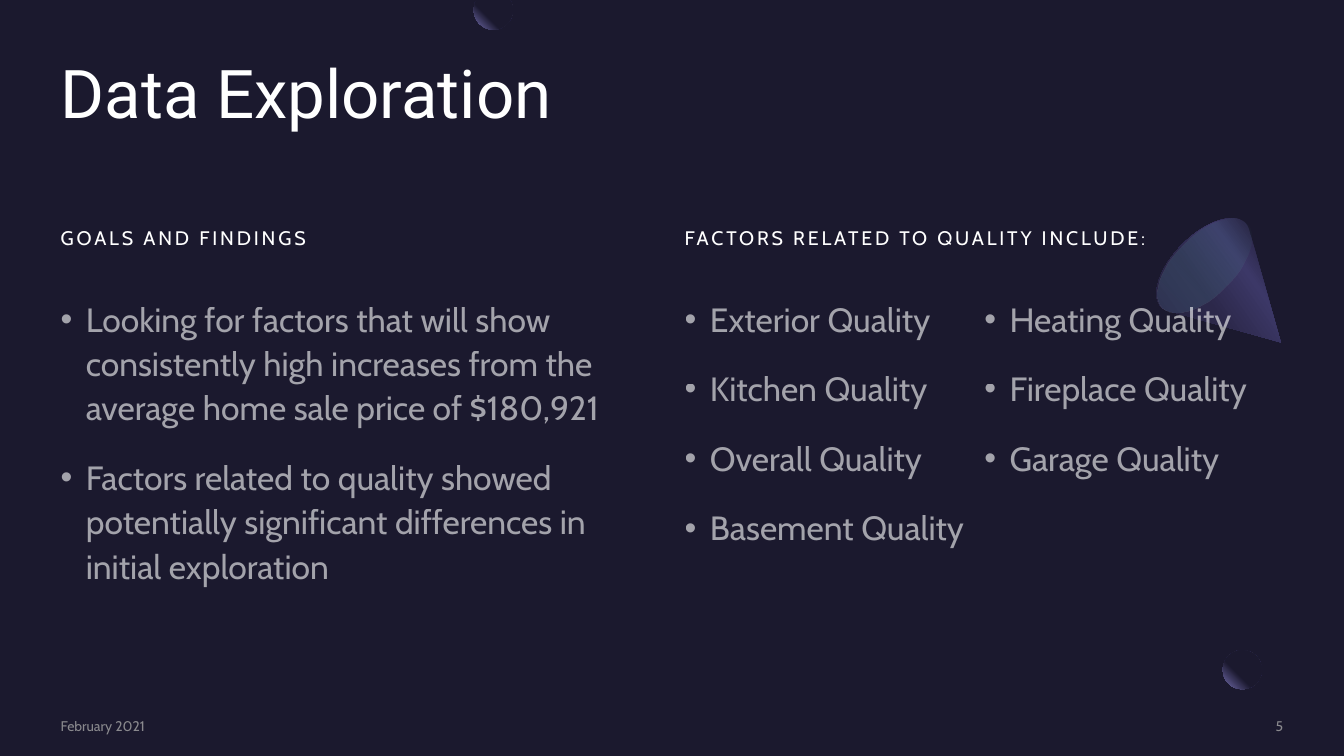
from lxml import etree
from pptx import Presentation
from pptx.dml.color import RGBColor
from pptx.enum.shapes import MSO_SHAPE
from pptx.enum.text import MSO_ANCHOR, PP_ALIGN
from pptx.oxml.ns import qn
from pptx.util import Pt

OVAL, RECTANGLE = MSO_SHAPE.OVAL, MSO_SHAPE.RECTANGLE
TOP, MIDDLE, BOTTOM = MSO_ANCHOR.TOP, MSO_ANCHOR.MIDDLE, MSO_ANCHOR.BOTTOM
LEFT, RIGHT = PP_ALIGN.LEFT, PP_ALIGN.RIGHT

COLORS = {
    "night": "1B192E", "dusk": "2C284A", "plum": "3C3867", "violet": "454075",
    "lilac": "7771B2", "mint": "5BEFC1", "white": "FFFFFF", "grey": "A6A6A6",
}
MOON_STOPS = [(60, "night", 100), (100, "lilac", 100)]
CONE_STOPS = [(30, "dusk", 100), (40, "plum", 100), (60, "dusk", 100), (100, "night", 100)]
BASE_STOPS = [(0, "violet", 33), (100, "mint", 0)]


def paint_gradient(shape, stops, angle=None):
    """Fill with (position, color, opacity) stops; without an angle, radiate from top right."""
    shape.shadow.inherit = False
    shape.line.fill.background()
    shape.fill.background()
    properties = shape._element.spPr
    gradient = etree.Element(qn("a:gradFill"), rotWithShape="1")
    properties.replace(properties.find(qn("a:noFill")), gradient)
    stop_list = etree.SubElement(gradient, qn("a:gsLst"))
    for position, color, opacity in stops:
        stop = etree.SubElement(stop_list, qn("a:gs"), pos=str(position * 1000))
        tint = etree.SubElement(stop, qn("a:srgbClr"), val=COLORS[color])
        if opacity < 100:
            etree.SubElement(tint, qn("a:alpha"), val=str(opacity * 1000))
    if angle is None:
        radial = etree.SubElement(gradient, qn("a:path"), path="circle")
        etree.SubElement(radial, qn("a:fillToRect"), l="100000", b="100000")
    else:
        etree.SubElement(gradient, qn("a:lin"), ang=str(angle * 60000), scaled="0")


def write_text(box, lines, size, color, opacity=100, font="Cabin", anchor=TOP,
               align=LEFT, spacing=1.0, before=0, after=0, bullet=False, tracking=0):
    frame = box.text_frame
    frame.word_wrap = True
    frame.vertical_anchor = anchor
    frame.margin_left = frame.margin_top = frame.margin_right = frame.margin_bottom = 0
    frame.text = "\n".join(lines)
    for para in frame.paragraphs:
        para.alignment = align
        para.line_spacing = spacing
        para.space_before, para.space_after = Pt(before), Pt(after)
        if bullet:
            settings = para._p.get_or_add_pPr()
            settings.set("marL", str(Pt(18)))
            settings.set("indent", str(Pt(-18)))
            etree.SubElement(settings, qn("a:buFont"), typeface="Arial")
            etree.SubElement(settings, qn("a:buChar"), char="•")
        para.font.name, para.font.size = font, Pt(size)
        para.font.color.rgb = RGBColor.from_string(COLORS[color])
        style = para._p.pPr.find(qn("a:defRPr"))
        if tracking:
            style.set("spc", str(tracking * 100))
        if opacity < 100:
            tint = style.find(".//" + qn("a:srgbClr"))
            etree.SubElement(tint, qn("a:alpha"), val=str(opacity * 1000))


deck = Presentation()
deck.slide_width, deck.slide_height = Pt(960), Pt(540)
page = deck.slides.add_slide(deck.slide_layouts[5])
page.background.fill.solid()
page.background.fill.fore_color.rgb = RGBColor.from_string(COLORS["night"])
shapes = page.shapes

# Lower moon and its veil
moon = shapes.add_shape(OVAL, Pt(873.4), Pt(464.4), Pt(28), Pt(28))
paint_gradient(moon, MOON_STOPS)
veil = shapes.add_shape(RECTANGLE, Pt(901.4), Pt(458.6), Pt(29.5), Pt(28))
veil.shadow.inherit = False
veil.line.fill.background()
veil.fill.solid()
veil.fill.fore_color.rgb = RGBColor.from_string(COLORS["night"])
veil_tint = veil._element.spPr.find(".//" + qn("a:srgbClr"))
etree.SubElement(veil_tint, qn("a:alpha"), val="80000")

# Cone and upper moon: the right half of each outline, measured from its axis, is mirrored.
# A half is a start, a shoulder and two curves of three points each.
outlines = [
    (879.8, 135, CONE_STOPS, 10, [
        (0, 159.8), (41.2, 233.3), (42, 235), (42.5, 236.5), (42.5, 238),
        (42.5, 249.7), (23.5, 259.2), (0, 259.2)]),
    (352.4, 0, MOON_STOPS, None, [
        (11.8, 0), (13, 1.9), (13.6, 3.6), (14, 5.4), (14, 7.2),
        (14, 14.9), (7.7, 21.2), (0, 21.2)]),
]
for axis, rotation, stops, angle, half in outlines:
    mirrored = [(-x, y) for x, y in reversed(half[:-1])]
    outline = [(Pt(axis + x), Pt(y)) for x, y in half + mirrored]
    builder = shapes.build_freeform(*outline[0])
    builder.add_line_segments(outline[1:])
    solid = builder.convert_to_shape()
    segments = list(solid._element.iter(qn("a:lnTo")))
    for first in range(1, 13, 3):
        curve = etree.Element(qn("a:cubicBezTo"))
        segments[first].addprevious(curve)
        for segment in segments[first:first + 3]:
            curve.append(segment[0])
            segment.getparent().remove(segment)
    solid.rotation = rotation
    paint_gradient(solid, stops, angle)

base = shapes.add_shape(OVAL, Pt(838.8), Pt(146.9), Pt(42.5), Pt(85))
base.rotation = 225
paint_gradient(base, BASE_STOPS, 90)

title = shapes.title
title.left, title.top, title.width, title.height = Pt(43.2), Pt(43.2), Pt(874), Pt(105)
write_text(title, ["Data Exploration"], 48, "white", font="Roboto", spacing=0.9)

columns = [
    (43.3, 271.4, "GOALS AND FINDINGS", [
        "Looking for factors that will show consistently high increases from the "
        "average home sale price of $180,921",
        "Factors related to quality showed potentially significant differences in "
        "initial exploration",
    ]),
    (489.1, 258, "FACTORS RELATED TO QUALITY INCLUDE:", [
        f"{feature} Quality" for feature in
        ("Exterior", "Kitchen", "Overall", "Basement", "Heating", "Fireplace", "Garage")
    ]),
]
for left, height, heading, points in columns:
    box = shapes.add_textbox(Pt(left), Pt(136), Pt(428), Pt(42.5))
    write_text(box, [heading], 14, "white", anchor=BOTTOM,
               spacing=1.1, before=10, after=8, tracking=2)
    body = shapes.add_textbox(Pt(left), Pt(210.5), Pt(428), Pt(height))
    write_text(body, points, 24, "white", opacity=60,
               spacing=1.1, before=10, after=8, bullet=True)

# The quality list flows in two columns, four entries in the first
body.text_frame.margin_bottom = Pt(50)
body.text_frame._txBody.bodyPr.set("numCol", "2")

for left, width, text, align in [(43.3, 207.4, "February 2021", LEFT), (783.4, 133.2, "5", RIGHT)]:
    box = shapes.add_textbox(Pt(left), Pt(512.6), Pt(width), Pt(12.2))
    write_text(box, [text], 10, "grey", opacity=80, anchor=MIDDLE, align=align)

deck.save("out.pptx")
